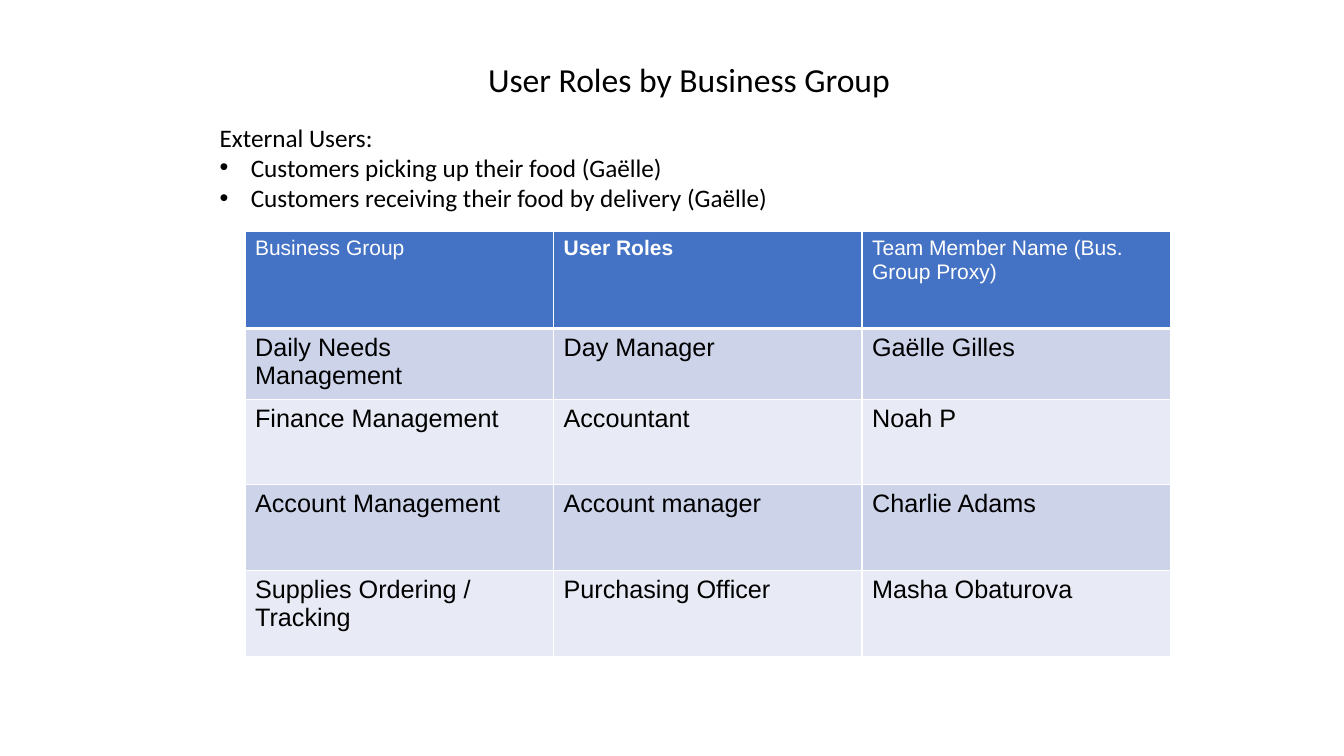
from lxml.etree import SubElement
from pptx import Presentation
from pptx.dml.color import RGBColor
from pptx.enum.text import MSO_ANCHOR, MSO_AUTO_SIZE, PP_ALIGN
from pptx.oxml.ns import qn
from pptx.util import Inches, Pt

BLACK, WHITE, BLUE = "000000", "FFFFFF", "4472C4"
BANDS = ["CDD4EA", "E8EBF5"]
TITLE = {"name": "Calibri", "size": Pt(24), "bold": False}
BODY = {"name": "Calibri", "size": Pt(18)}
HEADER = {"name": "Arial", "size": Pt(15), "bold": False}
CELL = {"name": "Arial", "size": Pt(18), "bold": False}

USERS = ["Customers picking up their food (Gaëlle)",
         "Customers receiving their food by delivery (Gaëlle)"]
ROLES = [
    ["Business Group", "User Roles", "Team Member Name (Bus. Group Proxy)"],
    ["Daily Needs Management", "Day Manager", "Gaëlle Gilles"],
    ["Finance Management", "Accountant", "Noah P"],
    ["Account Management", "Account manager", "Charlie Adams"],
    ["Supplies Ordering / Tracking", "Purchasing Officer", "Masha Obaturova"],
]


def paint(target, color):
    """Give a font colour or a solid fill its hex colour."""
    target.rgb = RGBColor.from_string(color)


def write(paragraph, text, formats, color):
    run = paragraph.add_run()
    run.text = text
    for name, value in formats.items():
        setattr(run.font, name, value)
    paint(run.font.color, color)
    return run


def add_bullet(paragraph, indent):
    properties = paragraph._p.get_or_add_pPr()
    properties.set("marL", str(indent))
    properties.set("indent", str(-indent))
    SubElement(properties, qn("a:buFont"), typeface="Arial")
    SubElement(properties, qn("a:buChar"), char="•")


def add_borders(cell, bottom_width):
    """Draw white cell borders; they come before the fill."""
    properties = cell._tc.get_or_add_tcPr()
    widths = {"a:lnL": 1, "a:lnR": 1, "a:lnT": 1, "a:lnB": bottom_width}
    for index, (side, width) in enumerate(widths.items()):
        line = SubElement(properties, qn(side), w=str(Pt(width)))
        fill = SubElement(line, qn("a:solidFill"))
        SubElement(fill, qn("a:srgbClr"), val=WHITE)
        properties.insert(index, line)


def place_title(slide, left, top, width, height):
    title = slide.shapes.title
    title.left, title.top, title.width, title.height = left, top, width, height
    frame = title.text_frame
    frame.auto_size = MSO_AUTO_SIZE.NONE
    frame.vertical_anchor = MSO_ANCHOR.TOP
    paragraph = frame.paragraphs[0]
    paragraph.alignment = PP_ALIGN.LEFT
    write(paragraph, "User Roles by Business Group", TITLE, BLACK)


def add_external_users(slide, left, top, width, height):
    frame = slide.shapes.add_textbox(left, top, width, height).text_frame
    frame.word_wrap = True
    write(frame.paragraphs[0], "External Users:", BODY, BLACK)
    for user in USERS:
        paragraph = frame.add_paragraph()
        add_bullet(paragraph, Inches(0.31))
        write(paragraph, user, BODY, BLACK)


def add_role_table(slide, left, top, width, row_heights):
    height = sum(row_heights)
    table = slide.shapes.add_table(len(ROLES), len(ROLES[0]), left, top,
                                   width, height).table
    for column in table.columns:
        column.width = width // len(ROLES[0])
    for row_index, texts in enumerate(ROLES):
        table.rows[row_index].height = row_heights[row_index]
        is_header = row_index == 0
        fill_color = BLUE if is_header else BANDS[(row_index - 1) % 2]
        for column_index, text in enumerate(texts):
            cell = table.cell(row_index, column_index)
            cell.fill.solid()
            paint(cell.fill.fore_color, fill_color)
            add_borders(cell, 3 if is_header else 1)
            run = write(cell.text_frame.paragraphs[0], text,
                        HEADER if is_header else CELL,
                        WHITE if is_header else BLACK)
            run.font.bold = text == "User Roles"


presentation = Presentation()
presentation.slide_width = Inches(13.33)
presentation.slide_height = Inches(7.5)
slide = presentation.slides.add_slide(presentation.slide_layouts[5])

place_title(slide, Inches(4.74), Inches(0.53), Inches(4.23), Inches(0.5))
add_role_table(slide, Inches(2.43), Inches(2.3), Inches(9.18),
               [Inches(height) for height in (0.96, 0.7, 0.85, 0.85, 0.85)])
add_external_users(slide, Inches(2.08), Inches(1.16), Inches(5.7), Inches(1.31))

presentation.save("out.pptx")
